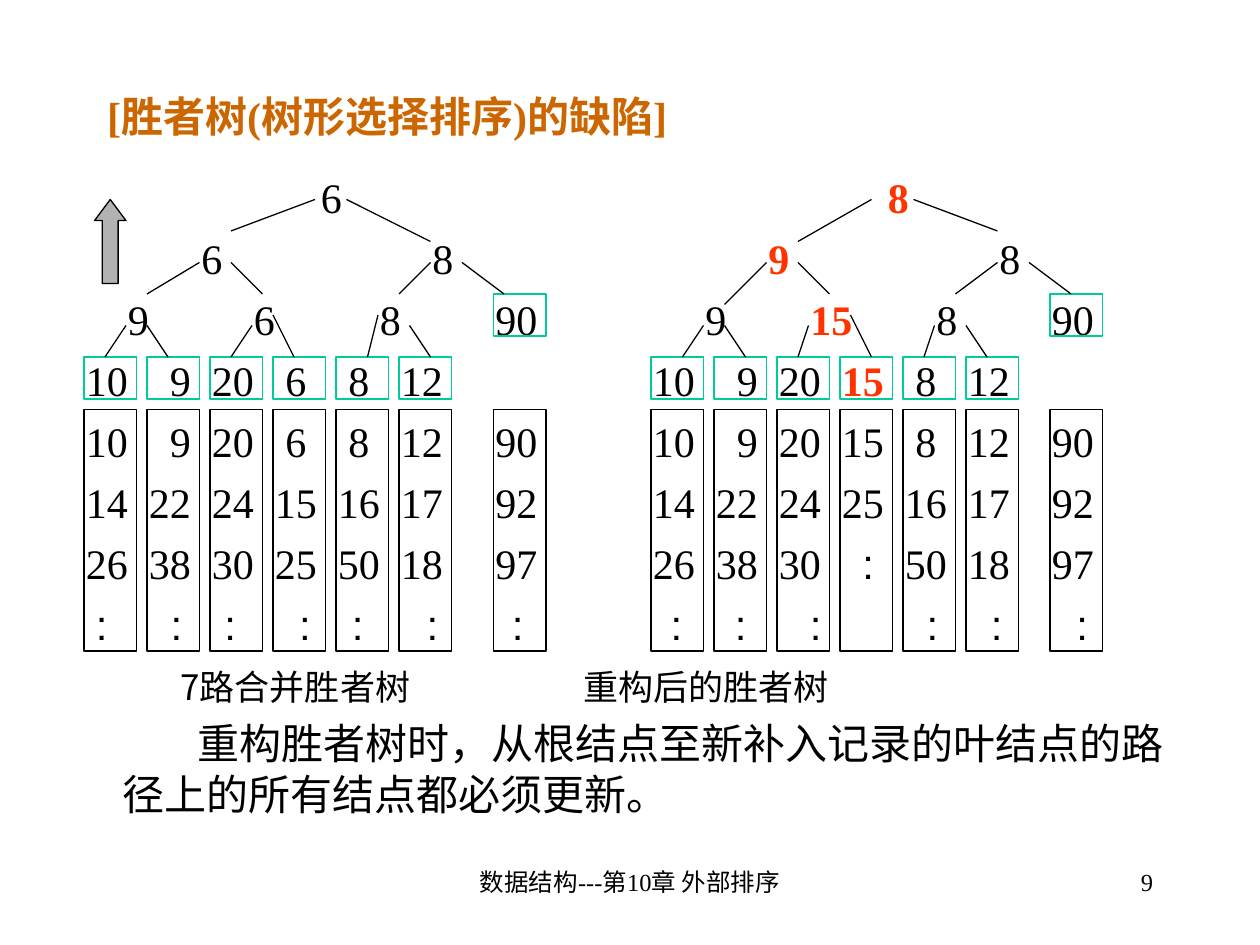
import pptx
import pptx.dml.color
import pptx.enum.shapes
import pptx.enum.text
import pptx.util
from lxml import etree
from pptx.oxml.ns import qn

PX = 9525  # 96 px to the inch
THEME = {
    "serif": "Times New Roman", "sans": "Arial", "caption": "Noto Sans CJK SC",
    "ink": "000000", "title": "CC6600", "hot": "FF3300", "leaf": "00CC99", "arrow": "B2B2B2",
    "text_size": 24, "caption_size": 20, "footer_size": 14, "line_width": 0.75,
    "first_line": 33.5, "line": 28.8, "caption_line": 27.8, "gap": 6,
}
ALIGN = pptx.enum.text.PP_ALIGN
SHAPE = pptx.enum.shapes.MSO_SHAPE

# Centres of the seven runs in each tree, measured from the text's left edge
COLUMNS = [24 + 48 * i for i in range(6)] + [336] + [456 + 48 * i for i in range(6)] + [760]
LEAVES = [80 if centre == 72 else 512 if centre == 504 else centre for centre in COLUMNS]
THIRD_RECORDS = [604 if centre == 600 else centre for centre in COLUMNS]
COLONS = [20, 77, 118, 175, 215, 272, 337, 458, 507, 564, 653, 702, 767]

# A star marks a node that changes when the tree is rebuilt
ROWS = [
    ([195, 627], "6 *8"),
    ([104, 280, 536, 712], "6 8 *9 8"),
    ([48, 144, 240, 336, 488, 576, 664, 760], "9 6 8 90 9 *15 8 90"),
    (LEAVES[:6] + LEAVES[7:13], "10 9 20 6 8 12 10 9 20 *15 8 12"),
    (LEAVES, "10 9 20 6 8 12 90 10 9 20 15 8 12 90"),
    (COLUMNS, "14 22 24 15 16 17 92 14 22 24 25 16 17 92"),
    (THIRD_RECORDS, "26 38 30 25 50 18 97 26 38 30 : 50 18 97"),
    (COLONS, " ".join(":" * 13)),
]
CAPTIONS = ["7路合并胜者树", "重构后的胜者树"]
CONCLUSION = "重构胜者树时，从根结点至新补入记录的叶结点的路径上的所有结点都必须更新。"

# Branches as x1, y1, x2, y2 from the tree's top left corner
SHARED_BRANCHES = [(112, 48, 136, 72), (288, 48, 320, 72)]
FIRST_BRANCHES = SHARED_BRANCHES + [
    (16, 120, 32, 96), (64, 120, 48, 96), (128, 96, 112, 120), (144, 88, 160, 120),
    (224, 88, 216, 120), (248, 96, 264, 120), (48, 72, 88, 48), (264, 48, 240, 72),
    (176, 0, 112, 24), (200, 0, 264, 32),
]
REBUILT_BRANCHES = SHARED_BRANCHES + [
    (24, 120, 40, 96), (56, 96, 72, 120), (120, 96, 112, 120), (152, 88, 168, 120),
    (216, 96, 208, 120), (240, 96, 256, 120), (88, 48, 56, 80), (264, 48, 232, 72),
    (168, 0, 112, 32), (200, 0, 264, 24),
]


def px(*lengths):
    return [length * PX for length in lengths]


def color(name):
    return pptx.dml.color.RGBColor.from_string(THEME[name])


def add_span(para, text, ink="ink", face="serif", size="text_size", bold=False):
    span = para.add_run()
    span.text = text
    values = {"name": THEME[face], "size": pptx.util.Pt(THEME[size]), "bold": bold}
    for name, value in values.items():
        setattr(span.font, name, value)
    span.font.color.rgb = color(ink)


def place(shape, box):
    for name, value in zip(("left", "top", "width", "height"), px(*box)):
        setattr(shape, name, value)


def set_line(shape, ink):
    shape.line.color.rgb = color(ink)
    shape.line.width = pptx.util.Pt(THEME["line_width"])


def set_spacing(para, line, gap):
    values = {
        "alignment": ALIGN.LEFT,
        "line_spacing": pptx.util.Pt(THEME[line]),
        "space_before": pptx.util.Pt(gap),
    }
    for name, value in values.items():
        setattr(para, name, value)


def add_tabs(para, positions, alignment):
    stops = etree.SubElement(para._p.get_or_add_pPr(), qn("a:tabLst"))
    for position in positions:
        etree.SubElement(stops, qn("a:tab"), pos=str(position * PX), algn=alignment)


def add_title(page, box):
    title = page.shapes.title
    place(title, box)
    frame = title.text_frame
    frame.vertical_anchor = pptx.enum.text.MSO_ANCHOR.MIDDLE
    frame.auto_size = pptx.enum.text.MSO_AUTO_SIZE.NONE
    para = frame.paragraphs[0]
    para.alignment = ALIGN.LEFT
    add_span(para, "[胜者树(树形选择排序)的缺陷]", ink="title", bold=True)


def add_values(page, box):
    """Write the node values and records row by row, then the tree captions."""
    frame = page.shapes.add_textbox(*px(*box)).text_frame
    frame.word_wrap = True
    for index, (centres, row) in enumerate(ROWS):
        para = frame.add_paragraph() if index else frame.paragraphs[0]
        add_tabs(para, centres, "ctr")
        set_spacing(para, "line" if index else "first_line", THEME["gap"] if index else 0)
        for cell in row.split():
            hot = cell.startswith("*")
            add_span(para, "\t" + cell.lstrip("*"), ink="hot" if hot else "ink",
                     face="sans" if cell == ":" else "serif", bold=hot)

    para = frame.add_paragraph()
    add_tabs(para, [80, 387], "l")
    set_spacing(para, "caption_line", THEME["gap"])
    for caption in CAPTIONS:
        add_span(para, "\t" + caption, face="caption", size="caption_size")


def add_conclusion(page, box):
    body = page.placeholders[1]
    place(body, box)
    frame = body.text_frame
    frame.auto_size = pptx.enum.text.MSO_AUTO_SIZE.NONE
    para = frame.paragraphs[0]
    props = para._p.get_or_add_pPr()
    for name, value in zip(("marL", "indent"), px(36, 57)):
        props.set(name, str(value))
    etree.SubElement(props, qn("a:buNone"))
    set_spacing(para, "line", 0)
    add_span(para, CONCLUSION)


def add_box(page, box, ink):
    shape = page.shapes.add_shape(SHAPE.RECTANGLE, *px(*box))
    shape.shadow.inherit = False
    shape.fill.background()
    set_line(shape, ink)


def add_tree(page, left, top, last_column, branches):
    """Draw the runs, the leaves above them and the branches of one tree."""
    offsets = [48 * i for i in range(6)] + [last_column]
    for offset in offsets:
        leaf_top = 72 if offset == last_column else 120
        add_box(page, (left + offset, top + 160, 40, 184), "ink")
        add_box(page, (left + offset, top + leaf_top, 40, 32), "leaf")
    for x1, y1, x2, y2 in branches:
        branch = page.shapes.add_connector(
            pptx.enum.shapes.MSO_CONNECTOR.STRAIGHT,
            *px(left + x1, top + y1, left + x2, top + y2))
        set_line(branch, "ink")
        etree.SubElement(branch._element.spPr, qn("a:effectLst"))


def add_up_arrow(page, box):
    arrow = page.shapes.add_shape(SHAPE.UP_ARROW, *px(*box))
    arrow.shadow.inherit = False
    arrow.adjustments[0] = 0.5
    arrow.adjustments[1] = 0.67
    arrow.fill.solid()
    arrow.fill.fore_color.rgb = color("arrow")
    set_line(arrow, "ink")


def add_footer(page, box, text, alignment):
    frame = page.shapes.add_textbox(*px(*box)).text_frame
    frame.word_wrap = True
    para = frame.paragraphs[0]
    para.alignment = alignment
    add_span(para, text, size="footer_size")


def main():
    deck = pptx.Presentation()
    deck.slide_width, deck.slide_height = px(960, 720)
    page = deck.slides.add_slide(deck.slide_layouts[1])
    add_title(page, (72, 64, 816, 48))
    add_values(page, (48, 120, 856, 422))
    add_conclusion(page, (48, 542, 856, 98))
    add_tree(page, 64, 152, 312, FIRST_BRANCHES)
    add_tree(page, 496, 152, 304, REBUILT_BRANCHES)
    add_up_arrow(page, (72, 152, 24, 64))
    add_footer(page, (328, 656, 304, 48), "数据结构---第10章 外部排序", ALIGN.CENTER)
    add_footer(page, (688, 656, 200, 48), "9", ALIGN.RIGHT)
    deck.save("out.pptx")


if __name__ == "__main__":
    main()
